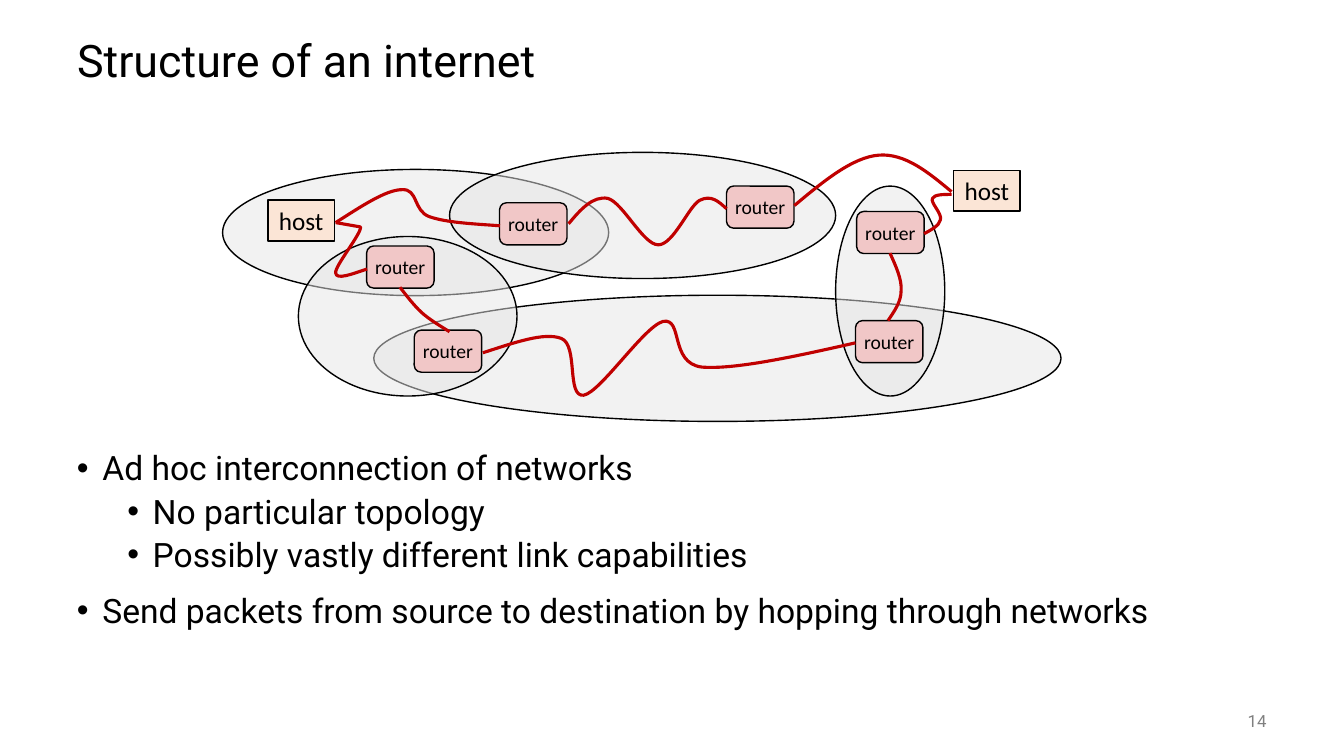
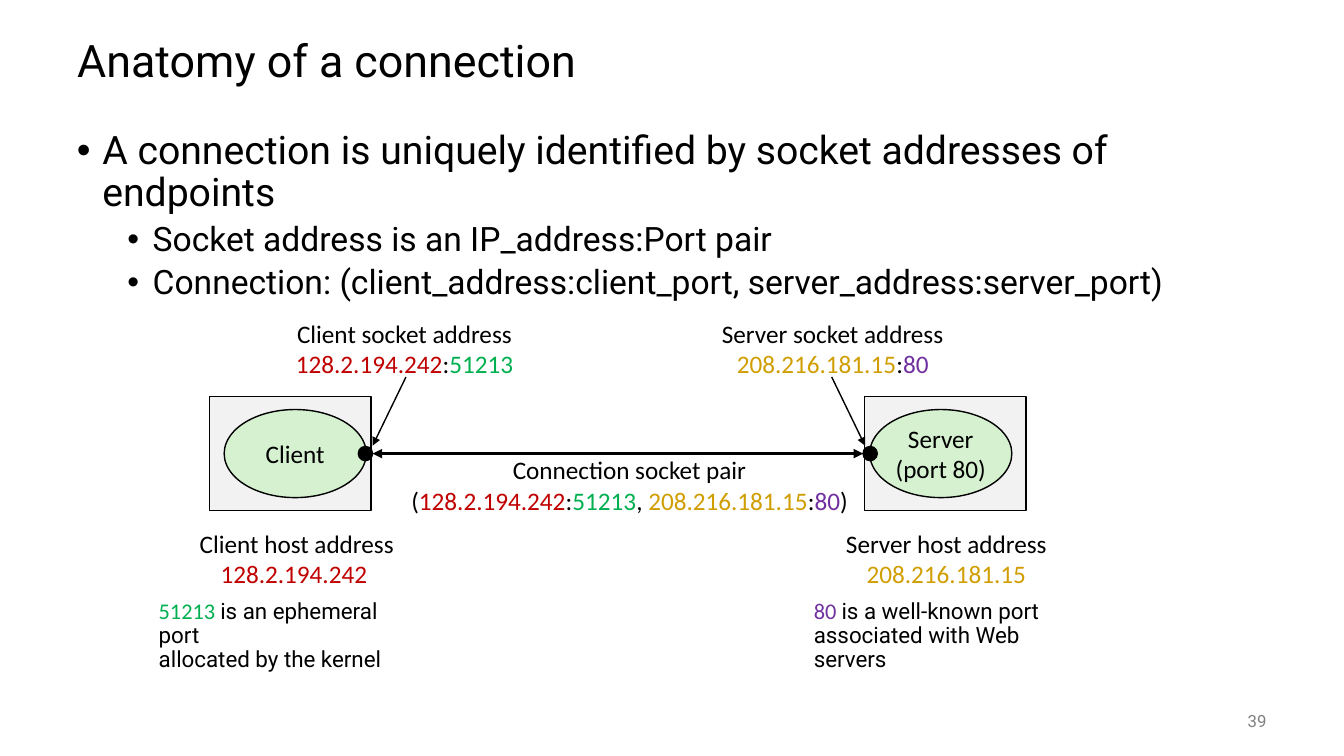
from dataclasses import dataclass
from itertools import chain
from typing import NamedTuple, Optional, Sequence, Union

from lxml.etree import SubElement
from pptx import Presentation
from pptx.dml.color import RGBColor
from pptx.enum.shapes import MSO_CONNECTOR as Connector, MSO_SHAPE as Preset
from pptx.enum.text import MSO_ANCHOR as Anchor, MSO_AUTO_SIZE as AutoSize, PP_ALIGN as Align
from pptx.oxml.ns import qn
from pptx.util import Cm, Pt


@dataclass(frozen=True)
class Theme:
    black: str = "000000"
    grey: str = "808080"
    network: str = "E6E6E6"
    machine: str = "F2F2F2"
    router: str = "F1C7C7"
    host: str = "FBE5D6"
    process: str = "D5F1CF"
    red: str = "C00000"
    green: str = "00B050"
    gold: str = "D09E00"
    purple: str = "7030A0"
    main_font: str = "Roboto"
    label_font: str = "Calibri"
    title_size: int = 32
    lead_size: int = 28
    body_size: int = 24
    label_size: int = 18
    note_size: int = 16
    router_size: int = 14
    number_size: int = 12
    thin: float = 1
    thick: float = 2.25


THEME = Theme()


class Point(NamedTuple):
    x: float
    y: float


class Box(NamedTuple):
    left: float
    top: float
    width: float
    height: float

    def lengths(self) -> list:
        return [Cm(value) for value in self]


class Run(NamedTuple):
    text: str
    color: str = THEME.black
    font: Optional[str] = None


class Bullet(NamedTuple):
    text: str
    level: int = 0
    size: int = THEME.body_size


class Curve(NamedTuple):
    start: Point
    segments: Sequence[Sequence[float]]


@dataclass(frozen=True)
class Endpoint:
    name: str
    process: Sequence[str]
    address: Run
    host_address: Run
    port: Run
    machine_left: float
    process_left: float
    dot_left: float
    socket_label: Box
    host_label: Box
    pointer: Sequence[Point]
    note: Sequence[str]


Line = Union[str, Sequence[Run]]

TITLE_BOX = Box(1.69, 0.64, 30.48, 1.9)
NUMBER_BOX = Box(29.63, 17.65, 2.54, 1.02)

NETWORKS = [
    Box(5.61, 4.27, 9.73, 3.18), Box(9.42, 7.44, 17.32, 3.18),
    Box(11.33, 3.84, 9.73, 3.18), Box(7.52, 5.96, 5.51, 4.02),
    Box(21.06, 4.69, 2.75, 5.29),
]
ROUTERS = [Point(9.24, 6.2), Point(10.44, 8.32), Point(12.59, 5.11),
           Point(18.31, 4.69), Point(21.56, 8.08), Point(21.59, 5.33)]
HOSTS = [Point(24.03, 4.29), Point(6.75, 5.04)]
LINKS = [
    Curve(Point(8.46, 5.61), [(9.09, 5.72), (9.09, 5.92, 8.43, 6.71, 8.46, 6.88),
                              (8.48, 7.06, 8.86, 6.91, 9.25, 6.78)]),
    Curve(Point(8.46, 5.61), [(9.09, 5.21, 9.73, 4.78, 10.13, 4.78),
                              (10.54, 4.75, 10.41, 5.31, 10.82, 5.46),
                              (11.25, 5.61, 11.91, 5.64, 12.6, 5.69)]),
    Curve(Point(10.08, 7.24), [(10.26, 7.47, 10.41, 7.67, 10.62, 7.87),
                               (10.82, 8.05, 11.07, 8.2, 11.33, 8.36)]),
    Curve(Point(14.33, 5.64), [(14.63, 5.28, 14.94, 4.93, 15.32, 5),
                               (15.7, 5.11, 16.21, 6.17, 16.59, 6.17),
                               (16.97, 6.17, 17.35, 5.21, 17.63, 5.05),
                               (17.93, 4.9, 18.11, 5.08, 18.31, 5.26)]),
    Curve(Point(20.02, 5.18), [(20.75, 4.57, 21.49, 3.96, 22.15, 3.91),
                               (22.81, 3.86, 23.39, 4.34, 23.98, 4.83)]),
    Curve(Point(12.17, 8.89), [(12.95, 8.64, 13.72, 8.36, 14.15, 8.53),
                               (14.58, 8.71, 14.27, 10.01, 14.71, 9.96),
                               (15.14, 9.88, 16.23, 8.23, 16.71, 8.1),
                               (17.22, 8, 16.87, 9.14, 17.68, 9.25),
                               (18.49, 9.32, 20.02, 8.99, 21.56, 8.64)]),
    Curve(Point(22.38, 8.08), [(22.53, 7.85, 22.71, 7.62, 22.71, 7.32),
                               (22.73, 7.04, 22.58, 6.71, 22.43, 6.38)]),
    Curve(Point(23.29, 5.89), [(23.47, 5.79, 23.67, 5.69, 23.7, 5.54),
                               (23.75, 5.38, 23.44, 5.11, 23.5, 5),
                               (23.55, 4.9, 23.77, 4.9, 23.98, 4.9)]),
]

CLIENT = Endpoint(
    "Client", ["Client"], Run("128.2.194.242", THEME.red), Run("128.2.194.242 ", THEME.red),
    Run("51213", THEME.green),
    5.28, 5.65, 9.03, Box(7.16, 7.88, 6.07, 1.8), Box(4.71, 13.18, 5.54, 1.8),
    (Point(10.23, 9.5), Point(9.39, 11.23)),
    ["is an ephemeral port", "allocated by the kernel"])
SERVER = Endpoint(
    "Server", ["Server", "(port 80)"], Run("208.216.181.15", THEME.gold),
    Run("208.216.181.15", THEME.gold), Run("80", THEME.purple),
    21.79, 21.92, 21.75, Box(17.39, 7.88, 7.19, 1.8), Box(20.99, 13.18, 5.72, 1.8),
    (Point(20.96, 9.5), Point(21.8, 11.23)),
    ["is a well-known port", "associated with Web servers"])


def rgb(color: str) -> RGBColor:
    return RGBColor.from_string(color)


def write_text(frame, lines: Sequence[Line], *, size: float, font: str = THEME.label_font,
               color: str = THEME.black, align=Align.CENTER, anchor=Anchor.MIDDLE,
               wrap: bool = False, spacing: Optional[float] = None) -> None:
    frame.word_wrap = wrap
    frame.auto_size = AutoSize.NONE
    frame.vertical_anchor = anchor
    for index, line in enumerate(lines):
        paragraph = frame.add_paragraph() if index else frame.paragraphs[0]
        paragraph.alignment = align
        if spacing:
            paragraph.line_spacing = spacing
        for part in [Run(line, color)] if isinstance(line, str) else line:
            run = paragraph.add_run()
            run.text = part.text
            run.font.size = Pt(size)
            run.font.name = part.font or font
            run.font.color.rgb = rgb(part.color)


def add_text(slide, box: Box, lines: Sequence[Line], **text_format) -> None:
    write_text(slide.shapes.add_textbox(*box.lengths()).text_frame, lines, **text_format)


def add_bullets(slide, box: Box, bullets: Sequence[Bullet]) -> None:
    frame = slide.shapes.add_textbox(*box.lengths()).text_frame
    write_text(frame, [bullet.text for bullet in bullets], size=THEME.body_size,
               font=THEME.main_font, align=Align.LEFT, anchor=Anchor.TOP, wrap=True, spacing=0.9)
    for index, (paragraph, bullet) in enumerate(zip(frame.paragraphs, bullets)):
        paragraph.level = bullet.level
        if index:
            paragraph.space_before = Pt(5 if bullet.level else 14)
        properties = paragraph._p.get_or_add_pPr()
        properties.set("marL", str(Cm(0.64 + 1.27 * bullet.level)))
        properties.set("indent", str(-Cm(0.64)))
        SubElement(properties, qn("a:buFont")).set("typeface", "Arial")
        SubElement(properties, qn("a:buChar")).set("char", "•")
        paragraph.runs[0].font.size = Pt(bullet.size)


def add_figure(slide, preset, box: Box, fill: str, *, opacity: Optional[int] = None,
               lines: Sequence[Line] = (), size: float = THEME.label_size) -> None:
    shape = slide.shapes.add_shape(preset, *box.lengths())
    shape.shadow.inherit = False
    shape.fill.solid()
    shape.fill.fore_color.rgb = rgb(fill)
    if opacity is not None:
        color = shape._element.spPr.find(qn("a:solidFill"))[0]
        SubElement(color, qn("a:alpha")).set("val", str(opacity * 1000))
    shape.line.color.rgb = rgb(THEME.black)
    shape.line.width = Pt(THEME.thin)
    if lines:
        write_text(shape.text_frame, lines, size=size)


def add_link(slide, curve: Curve) -> None:
    values = list(chain.from_iterable(curve.segments))
    points = [(Cm(x), Cm(y)) for x, y in zip(values[::2], values[1::2])]
    builder = slide.shapes.build_freeform(Cm(curve.start.x), Cm(curve.start.y))
    builder.add_line_segments(points, close=False)
    shape = builder.convert_to_shape()
    outline = next(shape._element.iter(qn("a:path")))
    steps = iter(outline.findall(qn("a:lnTo")))
    for segment in curve.segments:
        group = [next(steps) for _ in segment[::2]]
        if len(group) == 3:
            bezier = SubElement(outline, qn("a:cubicBezTo"))
            for step in group:
                bezier.append(step[0])
                outline.remove(step)
        else:
            outline.append(group[0])
    shape.shadow.inherit = False
    shape.fill.background()
    shape.line.color.rgb = rgb(THEME.red)
    shape.line.width = Pt(THEME.thick)


def add_arrow(slide, start: Point, end: Point, *, width: float = THEME.thin,
              both: bool = False) -> None:
    connector = slide.shapes.add_connector(
        Connector.STRAIGHT, Cm(start.x), Cm(start.y), Cm(end.x), Cm(end.y))
    connector.line.color.rgb = rgb(THEME.black)
    connector.line.width = Pt(width)
    for tag in ["a:headEnd", "a:tailEnd"] if both else ["a:tailEnd"]:
        SubElement(connector.line._get_or_add_ln(), qn(tag)).set("type", "triangle")
    SubElement(connector._element.spPr, qn("a:effectLst"))


def add_titled_slide(presentation, title: str, number: int):
    slide = presentation.slides.add_slide(presentation.slide_layouts[5])
    shape = slide.shapes.title
    shape.left, shape.top, shape.width, shape.height = TITLE_BOX.lengths()
    write_text(shape.text_frame, [title], size=THEME.title_size, font=THEME.main_font,
               align=Align.LEFT, wrap=True, spacing=0.9)
    add_text(slide, NUMBER_BOX, [str(number)], size=THEME.number_size, font=THEME.main_font,
             color=THEME.grey, align=Align.RIGHT, wrap=True)
    return slide


def build_structure(presentation) -> None:
    slide = add_titled_slide(presentation, "Structure of an internet", 14)
    add_bullets(slide, Box(1.69, 11.26, 30.48, 5.89), [
        Bullet("Ad hoc interconnection of networks"),
        Bullet("No particular topology", 1),
        Bullet("Possibly vastly different link capabilities", 1),
        Bullet("Send packets from source to destination by hopping through networks")])
    for network in NETWORKS:
        add_figure(slide, Preset.OVAL, network, THEME.network, opacity=50)
    for corner in ROUTERS:
        add_figure(slide, Preset.ROUNDED_RECTANGLE, Box(*corner, 1.7, 1.06), THEME.router,
                   lines=["router"], size=THEME.router_size)
    for corner in HOSTS:
        add_figure(slide, Preset.RECTANGLE, Box(*corner, 1.68, 1.03), THEME.host, lines=["host"])
    for link in LINKS:
        add_link(slide, link)


def add_endpoint(slide, endpoint: Endpoint) -> None:
    add_figure(slide, Preset.RECTANGLE, Box(endpoint.machine_left, 9.99, 4.07, 2.87), THEME.machine)
    add_figure(slide, Preset.OVAL, Box(endpoint.process_left, 10.32, 3.58, 2.22), THEME.process,
               lines=endpoint.process)
    add_figure(slide, Preset.OVAL, Box(endpoint.dot_left, 11.25, 0.36, 0.36), THEME.black)
    add_text(slide, endpoint.socket_label,
             [f"{endpoint.name} socket address", [endpoint.address, Run(":"), endpoint.port]],
             size=THEME.label_size)
    add_text(slide, endpoint.host_label,
             [f"{endpoint.name} host address", [endpoint.host_address]], size=THEME.label_size)
    add_arrow(slide, *endpoint.pointer)
    first, second = endpoint.note
    port = Run(endpoint.port.text + " ", endpoint.port.color, THEME.label_font)
    add_text(slide, Box(endpoint.machine_left - 1.53, 15, 7.1, 1.5),
             [[port, Run(first)], second], size=THEME.note_size, font=THEME.main_font,
             align=Align.LEFT, anchor=Anchor.TOP, wrap=True, spacing=0.9)


def build_connection(presentation) -> None:
    slide = add_titled_slide(presentation, "Anatomy of a connection", 39)
    add_bullets(slide, Box(1.69, 3.17, 31.04, 13.97), [
        Bullet("A connection is uniquely identified by socket addresses of endpoints",
               size=THEME.lead_size),
        Bullet("Socket address is an IP_address:Port pair", 1),
        Bullet("Connection: (client_address:client_port, server_address:server_port)", 1)])
    for endpoint in (CLIENT, SERVER):
        add_endpoint(slide, endpoint)
    add_arrow(slide, Point(9.39, 11.43), Point(21.75, 11.43), width=THEME.thick, both=True)
    add_text(slide, Box(10.01, 11.32, 11.71, 1.8), [
        "Connection socket pair",
        [Run("("), CLIENT.address, Run(":"), CLIENT.port, Run(", "),
         SERVER.address, Run(":"), SERVER.port, Run(")")]], size=THEME.label_size)


def main() -> None:
    presentation = Presentation()
    presentation.slide_width, presentation.slide_height = Cm(33.87), Cm(19.05)
    build_structure(presentation)
    build_connection(presentation)
    presentation.save("out.pptx")


if __name__ == "__main__":
    main()
